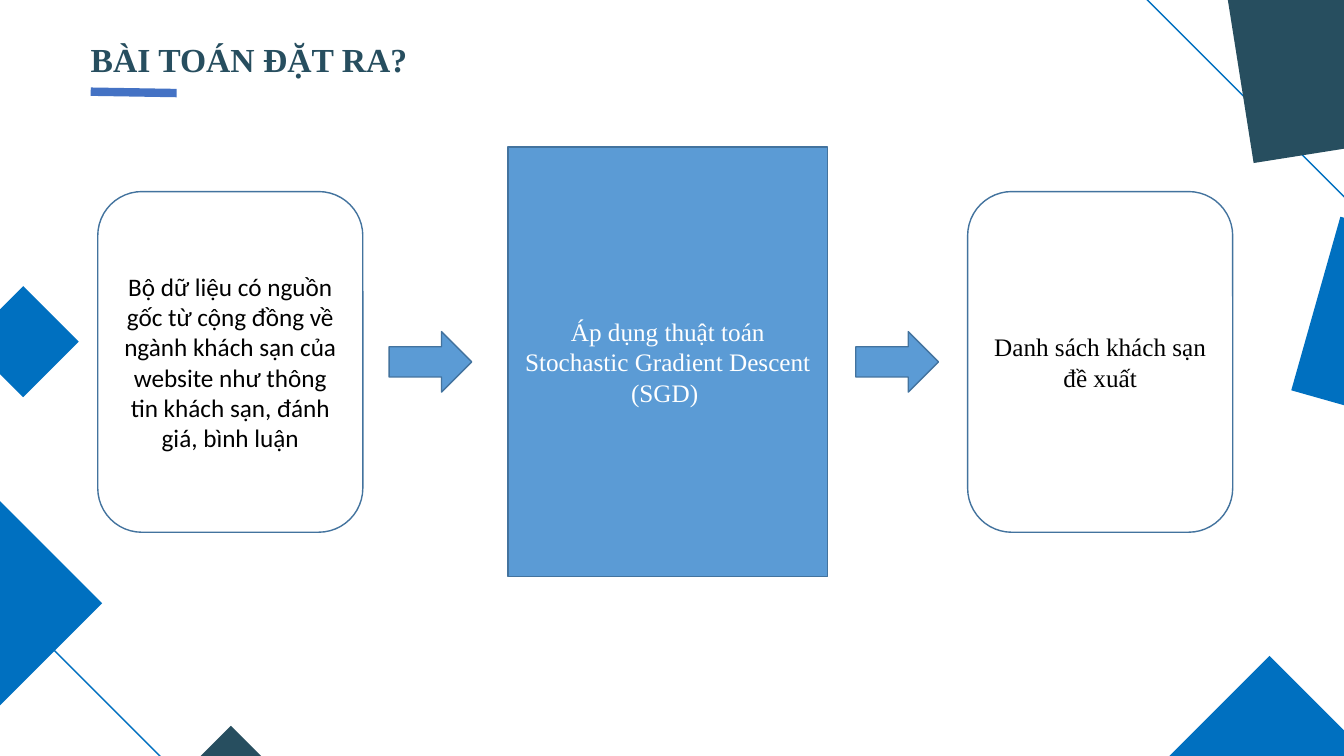
"""Build the problem statement slide: data, algorithm and result in a left-to-right flow."""
from dataclasses import dataclass
from typing import Optional

import pptx
import pptx.dml.color
import pptx.enum.shapes
import pptx.enum.text
import pptx.oxml
import pptx.oxml.ns
import pptx.presentation
import pptx.shapes.autoshape
import pptx.slide
import pptx.util

Pt = pptx.util.Pt
Preset = pptx.enum.shapes.MSO_SHAPE
Align = pptx.enum.text.PP_ALIGN
Anchor = pptx.enum.text.MSO_ANCHOR

BLUE = "0070C0"
DARK = "274E5F"
FLOW_FILL = "5B9BD5"
FLOW_LINE = "43739E"
SERIF = "Times New Roman"
FLOW_MIDDLE = 258.5


@dataclass(frozen=True)
class Square:
    """A rotated decorative square, placed by its centre."""

    center_x: float
    center_y: float
    side: float
    rotation: float = 45
    fill: Optional[str] = BLUE
    line: Optional[str] = None


@dataclass(frozen=True)
class FlowItem:
    """A box or arrow centred on the flow's middle line."""

    preset: Preset
    left: float
    width: float
    height: float
    fill: Optional[str] = None
    text: str = ""
    font: str = SERIF
    color: str = "000000"


SQUARES = [
    Square(-142.56, 758.88, 672.48, fill=None, line=BLUE),
    Square(1288.08, -15.12, 684, fill=None, line=BLUE),
    Square(906.84, 555.5, 123.12),
    Square(16.56, 244.08, 56.16),
    Square(1001.88, 234.36, 128.88, rotation=15.8),
    Square(164.88, 542.88, 34.56, fill=DARK),
    Square(-14.04, 430.92, 123.12),
    Square(965.16, 20.52, 167.76, rotation=81, fill=DARK),
]

FLOW = [
    FlowItem(Preset.RECTANGLE, 362.9, 228.24, 306.72, FLOW_FILL,
             "Áp dụng thuật toán Stochastic Gradient Descent (SGD) ", color="FFFFFF"),
    FlowItem(Preset.ROUNDED_RECTANGLE, 69.84, 189.36, 243.36,
             text="Bộ dữ liệu có nguồn gốc từ cộng đồng về ngành khách sạn của "
                  "website như thông tin khách sạn, đánh giá, bình luận",
             font="Calibri"),
    FlowItem(Preset.ROUNDED_RECTANGLE, 691.2, 189.36, 243.36,
             text="Danh sách khách sạn đề xuất"),
    FlowItem(Preset.RIGHT_ARROW, 277.92, 59.04, 43.2, FLOW_FILL),
    FlowItem(Preset.RIGHT_ARROW, 611.28, 59.04, 43.2, FLOW_FILL),
]


def rgb(value: str) -> pptx.dml.color.RGBColor:
    """Turn a hex string into a colour."""
    return pptx.dml.color.RGBColor.from_string(value)


def add_preset(page: pptx.slide.Slide, preset: Preset, left: float, top: float,
               width: float, height: float, fill: Optional[str],
               line: Optional[str]) -> pptx.shapes.autoshape.Shape:
    """Add a shadowless preset shape with an optional fill and outline."""
    shape = page.shapes.add_shape(preset, Pt(left), Pt(top), Pt(width), Pt(height))
    shape.shadow.inherit = False
    if fill:
        shape.fill.solid()
        shape.fill.fore_color.rgb = rgb(fill)
    else:
        shape.fill.background()
    if line:
        shape.line.color.rgb = rgb(line)
        shape.line.width = Pt(1)
    else:
        shape.line.fill.background()
    return shape


def add_square(page: pptx.slide.Slide, square: Square) -> None:
    """Draw one decorative square."""
    half = square.side / 2
    shape = add_preset(page, Preset.RECTANGLE, square.center_x - half,
                       square.center_y - half, square.side, square.side,
                       square.fill, square.line)
    shape.rotation = square.rotation


def add_flow_item(page: pptx.slide.Slide, item: FlowItem) -> None:
    """Draw one box or arrow of the flow."""
    shape = add_preset(page, item.preset, item.left, FLOW_MIDDLE - item.height / 2,
                       item.width, item.height, item.fill, FLOW_LINE)
    if not item.text:
        return
    frame = shape.text_frame
    frame.word_wrap = True
    frame.vertical_anchor = Anchor.MIDDLE
    para = frame.paragraphs[0]
    para.text = item.text
    para.alignment = Align.CENTER
    para.font.name = item.font
    para.font.size = Pt(18)
    para.font.color.rgb = rgb(item.color)


def add_title(page: pptx.slide.Slide, text: str) -> None:
    """Place the title and the accent line under it."""
    title = page.shapes.title
    title.left, title.top = Pt(57.6), Pt(24.48)
    title.width, title.height = Pt(805.68), Pt(36)
    title.text_frame.vertical_anchor = Anchor.TOP
    para = title.text_frame.paragraphs[0]
    para.text = text
    para.alignment = Align.LEFT
    para.font.name = SERIF
    para.font.size = Pt(24)
    para.font.bold = True
    para.font.color.rgb = rgb(DARK)

    accent = page.shapes.add_connector(pptx.enum.shapes.MSO_CONNECTOR.STRAIGHT,
                                       Pt(64.8), Pt(65.5), Pt(126.2), Pt(66.5))
    accent.line.color.rgb = rgb("4472C4")
    accent.line.width = Pt(6)
    properties = accent._element.spPr
    properties.append(pptx.oxml.parse_xml(
        f"<a:effectLst {pptx.oxml.ns.nsdecls('a')}/>"))


def build_deck() -> pptx.presentation.Presentation:
    """Create the deck with its single slide."""
    deck = pptx.Presentation()
    deck.slide_width, deck.slide_height = Pt(960), Pt(540)
    page = deck.slides.add_slide(deck.slide_layouts[5])
    for square in SQUARES:
        add_square(page, square)
    add_title(page, "BÀI TOÁN ĐẶT RA?")
    for item in FLOW:
        add_flow_item(page, item)
    return deck


if __name__ == "__main__":
    build_deck().save("out.pptx")
